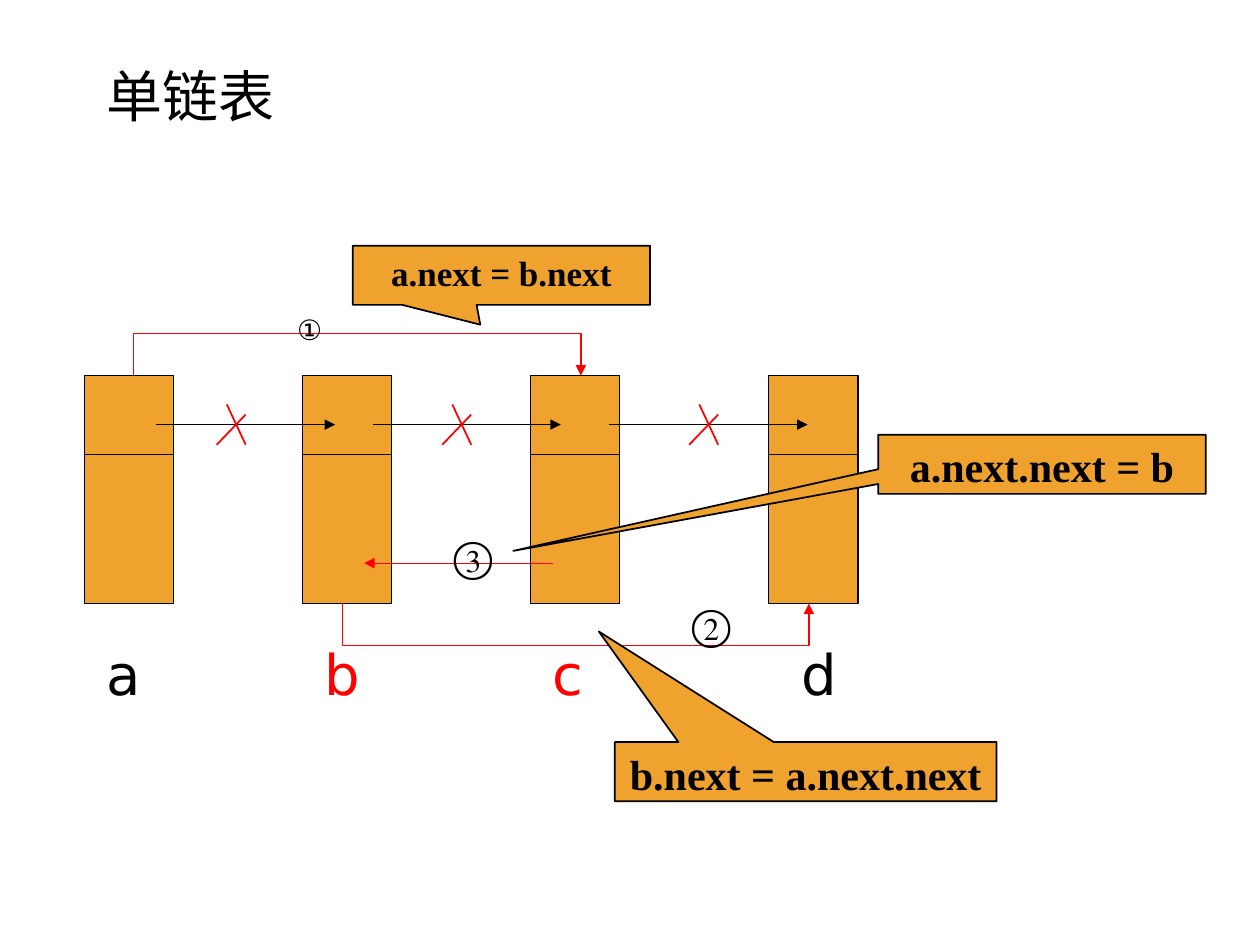
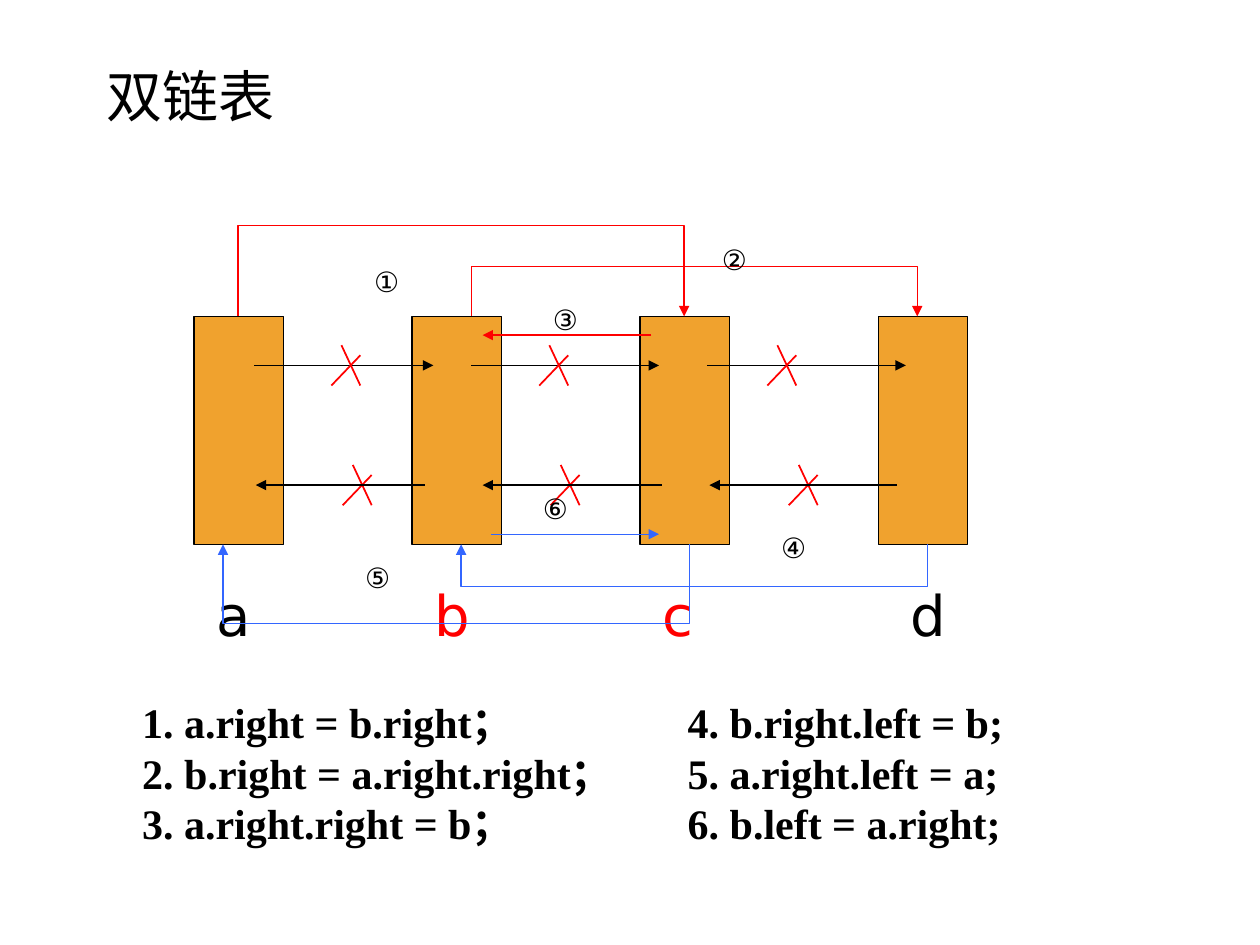
from lxml import etree
from pptx import Presentation
from pptx.dml.color import RGBColor
from pptx.enum import shapes, text
from pptx.oxml import ns
from pptx.util import Inches, Pt

BLACK = RGBColor(0x00, 0x00, 0x00)
RED = RGBColor(0xFF, 0x00, 0x00)
BLUE = RGBColor(0x33, 0x66, 0xFF)
GOLD = RGBColor(0xF0, 0xA2, 0x2E)
SERIF, SANS = "Times New Roman", "DejaVu Sans"
THIN, THICK = 0.74, 0.99

FONTS = {
    "title": dict(name=SERIF, size=Pt(32), bold=False),
    "letter": dict(name=SANS, size=Pt(32), bold=False),
    "mark": dict(name=SANS, size=Pt(16), bold=False),
    "step": dict(name=SERIF, size=Pt(24), bold=False),
    "code": dict(name=SERIF, size=Pt(24), bold=True),
    "note": dict(name=SERIF, size=Pt(20), bold=True),
}
FRAME = dict(margin_left=Inches(0.1), margin_right=Inches(0.1),
             margin_top=Inches(0.05), margin_bottom=Inches(0.05),
             word_wrap=True, vertical_anchor=text.MSO_ANCHOR.TOP)


def write(page, words, spot, style, color=BLACK, tip=None):
    """Write text in a plain box, or in a callout when a tip is given."""
    spot = [Inches(v) for v in spot]
    if tip:
        box = page.shapes.add_shape(shapes.MSO_SHAPE.RECTANGULAR_CALLOUT, *spot)
        box.adjustments[0], box.adjustments[1] = tip
        box.shadow.inherit = False
        box.fill.solid()
        box.fill.fore_color.rgb = GOLD
        box.line.color.rgb = BLACK
        box.line.width = Pt(THICK)
    else:
        box = page.shapes.add_textbox(*spot)
    frame = box.text_frame
    for key, value in FRAME.items():
        setattr(frame, key, value)
    frame.text = words
    for para in frame.paragraphs:
        para.alignment = text.PP_ALIGN.CENTER if tip else text.PP_ALIGN.LEFT
        for key, value in FONTS[style].items():
            setattr(para.runs[0].font, key, value)
        para.runs[0].font.color.rgb = color


def link(page, start, end, color=BLACK, width=THIN, arrow=True, bend=0):
    """Draw a line; a bend takes it up (negative) or down between level ends."""
    kind = shapes.MSO_CONNECTOR.STRAIGHT
    (x1, y1), (x2, y2) = start, end
    thin = 0.002
    if bend:
        kind = shapes.MSO_CONNECTOR.ELBOW
        mid, half = (x1 + x2) / 2, abs(x2 - x1) / 2
        ends = mid - thin / 2, y1 - half, mid + thin / 2, y1 + half
    else:
        ends = x1, y1, x2, y2
    line = page.shapes.add_connector(kind, *[Inches(v) for v in ends])
    line.line.color.rgb = color
    line.line.width = Pt(width)
    props = line._element.spPr
    if bend:
        # The elbow lies on its side: turned left and mirrored, or turned right
        frame = props.find(ns.qn("a:xfrm"))
        frame.set("rot", str((270 if x2 > x1 else 90) * 60000))
        if x2 > x1:
            frame.set("flipH", "1")
        guides = props.find(ns.qn("a:prstGeom")).get_or_add_avLst()
        etree.SubElement(guides, ns.qn("a:gd"), name="adj1",
                         fmla=f"val {round(bend / thin * 100000)}")
    if arrow:
        etree.SubElement(props.find(ns.qn("a:ln")), ns.qn("a:tailEnd"),
                         type="triangle")
    etree.SubElement(props, ns.qn("a:effectLst"))


deck = Presentation()
deck.slide_width, deck.slide_height = Inches(10), Inches(7.5)

# Shared by both lists: nodes, letters, next arrows and crossed-out links
WIDE, HIGH = 0.71, 1.81
LEFTS = [0.67, 2.4, 4.21, 6.1]
NEXTS = [(1.24, 2.66), (2.96, 4.45), (4.83, 6.41)]
NAMES = [("a", BLACK, 0.08), ("b", RED, 0.08), ("c", RED, 0.08), ("d", BLACK, 0.16)]
LISTS = [
    # title, node top, node shift, arrow shift, crosses as (left, top)
    ("单链表", 2.98, 0, 0, [(1.72, 3.21), (3.51, 3.21), (5.47, 3.21)]),
    ("双链表", 2.51, 0.87, 0.78,
     [(2.63, 2.74), (4.28, 2.74), (6.09, 2.74),
      (2.72, 3.69), (4.37, 3.69), (6.26, 3.69)]),
]
pages = []
for title, top, shift, slip, marks in LISTS:
    page = deck.slides.add_slide(deck.slide_layouts[6])
    pages.append(page)
    write(page, title, (0.75, 0.44, 2.44, 0.64), "title")
    for left, (name, color, inset) in zip(LEFTS, NAMES):
        left += shift
        node = page.shapes.add_shape(
            shapes.MSO_SHAPE.RECTANGLE,
            *[Inches(v) for v in (left, top, WIDE, HIGH)])
        node.shadow.inherit = False
        node.fill.solid()
        node.fill.fore_color.rgb = GOLD
        node.line.color.rgb = BLACK
        node.line.width = Pt(THIN)
        write(page, name, (left + inset, top + 2.05, 0.6, 0.64), "letter", color)
    for tail, head in NEXTS:
        link(page, (tail + slip, top + 0.39), (head + slip, top + 0.39))
    for x, y in marks:
        link(page, (x + 0.08, y), (x + 0.23, y + 0.32), RED, THICK, False)
        link(page, (x + 0.23, y + 0.08), (x, y + 0.32), RED, THICK, False)

single, double = pages

# Single list: split nodes, new links and their code
for left in LEFTS:
    link(single, (left, 3.61), (left + WIDE, 3.61), arrow=False)
link(single, (1.06, 2.98), (4.61, 2.98), RED, bend=-0.34)
link(single, (4.39, 4.47), (2.89, 4.47), RED)
link(single, (2.72, 4.79), (6.42, 4.79), RED, bend=0.34)
write(single, "①", (2.26, 2.43, 0.4, 0.37), "mark")
write(single, "③", (3.5, 4.16, 0.47, 0.5), "step")
for words, spot, style, tip in [
    ("a.next = b.next", (2.8, 1.95, 2.36, 0.47), "note", (-0.071, 0.835)),
    ("a.next.next = b", (6.97, 3.45, 2.6, 0.47), "code", (-1.614, 1.463)),
    ("b.next = a.next.next", (4.88, 5.89, 3.03, 0.47), "code", (-0.542, -2.368)),
]:
    write(single, words, spot, style, tip=tip)
write(single, "②", (5.39, 4.7, 0.51, 0.5), "step")

# Double list: back links, new links and the six steps
for tail, head in [(3.37, 2.03), (5.25, 3.83), (7.12, 5.63)]:
    link(double, (tail, 3.85), (head, 3.85))
for tail, head, y, color, bend in [
    (1.89, 5.43, 2.51, RED, -0.73),
    (5.17, 3.83, 2.66, RED, 0),
    (7.36, 3.66, 4.32, BLUE, 0.34),
    (5.47, 1.77, 4.32, BLUE, 0.64),
    (3.9, 5.23, 4.24, BLUE, 0),
    (3.74, 7.28, 2.51, RED, -0.4),
]:
    link(double, (tail, y), (head, y), color, bend=bend)
for mark, x, y in [("①", 2.87, 2.05), ("②", 5.63, 1.88), ("③", 4.29, 2.35),
                   ("④", 6.1, 4.16), ("⑤", 2.8, 4.4), ("⑥", 4.21, 3.85)]:
    write(double, mark, (x, y, 0.39, 0.37), "mark")
write(double, "1. a.right = b.right；\n2. b.right = a.right.right；\n"
      "3. a.right.right = b；", (1.03, 5.48, 4.09, 1.3), "code")
write(double, "4. b.right.left = b;\n5. a.right.left = a;\n"
      "6. b.left = a.right;", (5.36, 5.48, 4.17, 1.3), "code")

deck.save("out.pptx")
